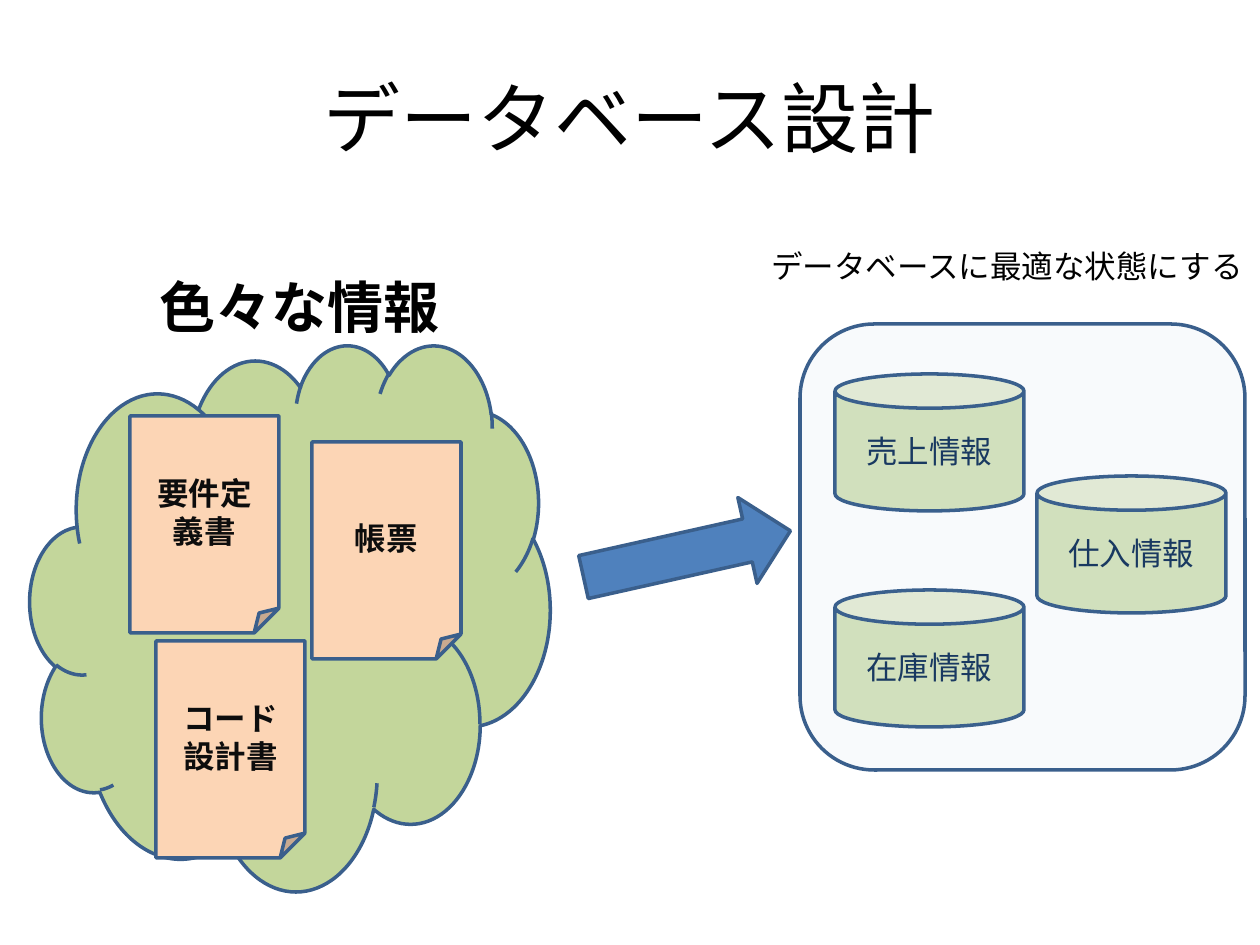
from lxml import etree
from pptx import Presentation
from pptx.dml.color import RGBColor
from pptx.enum.shapes import MSO_SHAPE
from pptx.enum.text import MSO_ANCHOR, MSO_AUTO_SIZE, PP_ALIGN
from pptx.oxml.ns import qn
from pptx.util import Emu, Pt

CLOUD = MSO_SHAPE.CLOUD
SHEET = MSO_SHAPE.FOLDED_CORNER
ARROW = MSO_SHAPE.RIGHT_ARROW
CAN = MSO_SHAPE.CAN
FRAME = MSO_SHAPE.ROUNDED_RECTANGLE
MIDDLE = MSO_ANCHOR.MIDDLE
TOP = MSO_ANCHOR.TOP
GROW = MSO_AUTO_SIZE.SHAPE_TO_FIT_TEXT
FIXED = MSO_AUTO_SIZE.NONE
LEFT, CENTER = PP_ALIGN.LEFT, PP_ALIGN.CENTER

LATIN, ASIAN = "Calibri", "Noto Sans CJK JP"
EDGE, BLUE, BLACK = "3A5F8C", "4F81BD", "000000"

TITLE = ("データベース設計", (63, 38, 1134, 157))
HEADS = [
    ("色々な情報", (147, 266, 309, 80), 32, True),
    ("データベースに最適な状態にする", (759, 241, 503, 51), 18, False),
]
SHEETS = [("要件定義書", 130, 416), ("帳票", 312, 442), ("コード設計書", 156, 641)]
CANS = [("在庫情報", 835, 590), ("仕入情報", 1037, 476), ("売上情報", 835, 374)]
SHEET_SIZE = (149, 217)
CAN_SIZE = (189, 137)


def px(n):
    return Emu(round(n * 914400 / 126))


def rgb(code):
    return RGBColor.from_string(code)


def write(frame, text, size, face, color, bold=False, align=CENTER):
    para = frame.paragraphs[0]
    para.text = text
    para.alignment = align
    font = para.font
    font.size, font.bold, font.name = Pt(size), bold, face
    font.color.rgb = rgb(color)
    base = para._p.pPr.find(qn("a:defRPr"))
    etree.SubElement(base, qn("a:ea")).set("typeface", ASIAN)


def label(slide, text, box, size, face, bold, align, wrap):
    frame = slide.shapes.add_textbox(*map(px, box)).text_frame
    frame.word_wrap = wrap
    frame.auto_size = FIXED if wrap else GROW
    frame.vertical_anchor = MIDDLE if wrap else TOP
    write(frame, text, size, face, BLACK, bold, align)


def draw(shapes, kind, box, fill):
    shape = shapes.add_shape(kind, *map(px, box))
    shape.shadow.inherit = False
    shape.fill.solid()
    shape.fill.fore_color.rgb = rgb(fill)
    shape.line.color.rgb = rgb(EDGE)
    shape.line.width = Pt(2)
    return shape


def main():
    deck = Presentation()
    deck.slide_width, deck.slide_height = px(1260), px(945)
    slide = deck.slides.add_slide(deck.slide_layouts[6])
    label(slide, *TITLE, 44, LATIN, False, CENTER, True)

    group = slide.shapes.add_group_shape().shapes
    draw(group, CLOUD, (30, 344, 520, 546), "C3D69B")
    for text, x, y in SHEETS:
        sheet = draw(group, SHEET, (x, y, *SHEET_SIZE), "FCD5B5")
        write(sheet.text_frame, text, 18, ASIAN, "0D0D0D", True)

    for text, box, size, bold in HEADS:
        label(slide, text, box, size, ASIAN, bold, LEFT, False)

    arrow = draw(slide.shapes, ARROW, (581, 510, 212, 88), BLUE)
    arrow.rotation = 347.4

    for text, x, y in CANS:
        can = draw(slide.shapes, CAN, (x, y, *CAN_SIZE), "D7E4BD")
        write(can.text_frame, text, 18, LATIN, "17375E")

    frame = draw(slide.shapes, FRAME, (800, 324, 445, 446), BLUE)
    tint = frame._element.spPr.find(qn("a:solidFill"))[0]
    etree.SubElement(tint, qn("a:alpha")).set("val", "4000")

    deck.save("out.pptx")


if __name__ == "__main__":
    main()
